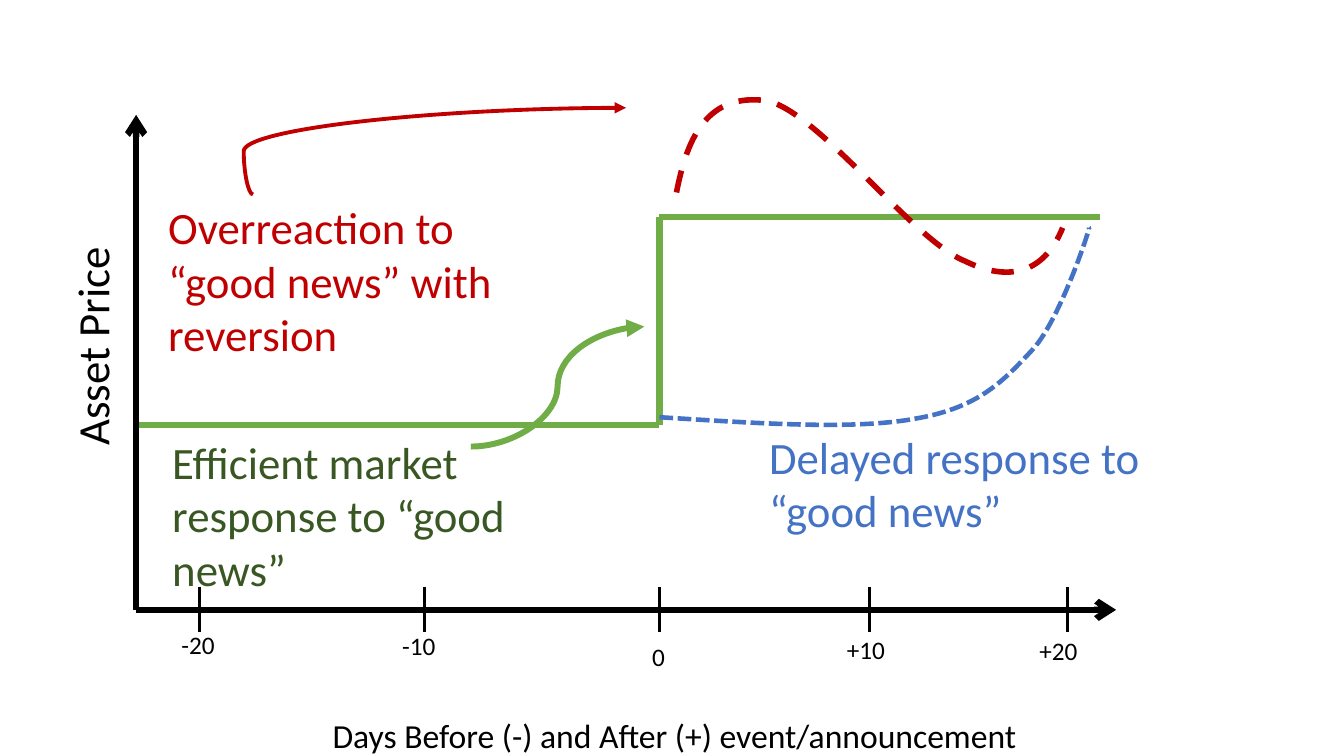
import pptx
import pptx.util
import pptx.dml.color
import pptx.enum.dml
import pptx.enum.shapes
import pptx.oxml.ns
import lxml.etree

Inches, Pt, qn = pptx.util.Inches, pptx.util.Pt, pptx.oxml.ns.qn
CONNECTOR = pptx.enum.shapes.MSO_CONNECTOR
DASH = pptx.enum.dml.MSO_LINE
COLORS = {"black": "000000", "red": "C00000", "green": "70AD47",
          "dark_green": "385723", "blue": "4472C4"}


def rgb(name):
    """Return the named colour."""
    return pptx.dml.color.RGBColor.from_string(COLORS[name])


def add_text(s, box, at, text, size, color="black", rotation=0):
    """Place a text box at an offset from the box corner."""
    x, y, w, h = at
    sp = s.shapes.add_textbox(Inches(box[0] + x), Inches(box[1] + y), Inches(w), Inches(h))
    sp.rotation = rotation
    sp.text_frame.word_wrap = True
    p = sp.text_frame.paragraphs[0]
    p.text = text
    p.font.name, p.font.size = "Calibri", Pt(size)
    p.font.color.rgb = rgb(color)


def add_line(s, box, start, end, color, width, head=None, bend=None):
    """Draw a straight line, or a curved one when a bend is given."""
    kind = CONNECTOR.STRAIGHT if bend is None else CONNECTOR.CURVE
    ends = [Inches(box[i] + point[i]) for point in (start, end) for i in (0, 1)]
    sp = s.shapes.add_connector(kind, *ends)
    sp.line.color.rgb, sp.line.width = rgb(color), Pt(width)
    pr = sp._element.spPr
    if head:
        lxml.etree.SubElement(sp.line._get_or_add_ln(), qn("a:tailEnd"), type=head)
    if bend is not None:
        lxml.etree.SubElement(pr.find(".//" + qn("a:avLst")), qn("a:gd"),
                              name="adj1", fmla=f"val {round(bend * 100000)}")
    lxml.etree.SubElement(pr, qn("a:effectLst"))


def add_curve(s, box, points, color, width, dash):
    """Draw a dashed chain of Bezier curves through start, control and end points."""
    points = [(Inches(box[0] + x), Inches(box[1] + y)) for x, y in points]
    builder = s.shapes.build_freeform(*points[0])
    builder.add_line_segments(points[1:], close=False)
    sp = builder.convert_to_shape()
    segments = list(sp._element.iter(qn("a:lnTo")))
    for i in range(0, len(segments), 3):
        curve = lxml.etree.SubElement(segments[i].getparent(), qn("a:cubicBezTo"))
        for segment in segments[i:i + 3]:
            curve.append(segment[0])
            segment.getparent().remove(segment)
    sp.shadow.inherit = False
    sp.fill.background()
    sp.line.color.rgb, sp.line.width = rgb(color), Pt(width)
    sp.line.dash_style = dash


def add_responses(s, box):
    """Draw the three price responses with their labels and pointers."""
    add_line(s, box, (1.16, 0.79), (4.86, -0.07), "red", 2.75, "triangle", -0.025)
    steps = [(0, 3.08), (5.19, 3.08), (5.19, 1.01), (9.56, 1.01)]
    for start, end in zip(steps, steps[1:]):
        add_line(s, box, start, end, "green", 4.5)
    overreaction = [(5.36, 0.77), (5.47, 0.2), (5.68, -0.22), (6.26, -0.14),
                    (6.78, -0.02), (7.7, 1.24), (8.22, 1.45),
                    (8.69, 1.68), (9.02, 1.54), (9.19, 1.12)]
    delayed = [(5.19, 3), (6.16, 3.06), (7.13, 3.13), (7.75, 3.01),
               (8.37, 2.9), (8.61, 2.63), (8.9, 2.32),
               (9.18, 2), (9.48, 1.07), (9.45, 1.12)]
    add_curve(s, box, overreaction, "red", 4, DASH.DASH)
    add_curve(s, box, delayed, "blue", 3.25, DASH.SQUARE_DOT)
    add_line(s, box, (3.32, 3.29), (5.04, 2.1), "green", 4.25, "triangle", 0.5)
    for at, text, color in [
            ((0.22, 0.79, 3.54, 1.72), "Overreaction to “good news” with reversion", "red"),
            ((0.26, 3.12, 3.92, 1.72), "Efficient market response to “good news”", "dark_green"),
            ((6.18, 3.07, 3.92, 1.12), "Delayed response to “good news”", "blue")]:
        add_text(s, box, at, text, 32, color)


def add_axes(s, box):
    """Draw the axes, their titles and the labelled day ticks."""
    w, h = box[2:]
    add_line(s, box, (0, h), (0, 0), "black", 4.5, "arrow")
    add_line(s, box, (0, h), (w, h), "black", 4.5, "arrow")
    add_text(s, box, (-1.7, 1.8, 2.52, 0.64), "Asset Price", 32, rotation=270)
    add_text(s, box, (1.85, 5.9, 7.97, 0.5),
             "Days Before (-) and After (+) event/announcement", 24)
    for x, text, left, top, width in [
            (0.63, "-20", 0.35, 5.05, 0.94), (2.86, "-10", 2.54, 5.06, 0.94),
            (5.19, "0", 5.02, 5.17, 0.94), (7.27, "+10", 6.95, 5.1, 0.65),
            (9.24, "+20", 8.86, 5.11, 0.65)]:
        add_line(s, box, (x, h - 0.23), (x, h + 0.22), "black", 2.25)
        add_text(s, box, (left, top, width, 0.41), text, 18)


prs = pptx.Presentation()
prs.slide_width, prs.slide_height = Inches(13.33), Inches(7.5)
s = prs.slides.add_slide(prs.slide_layouts[6])
plot = (1.35, 1.14, 9.72, 4.91)
add_responses(s, plot)
add_axes(s, plot)
prs.save("out.pptx")
